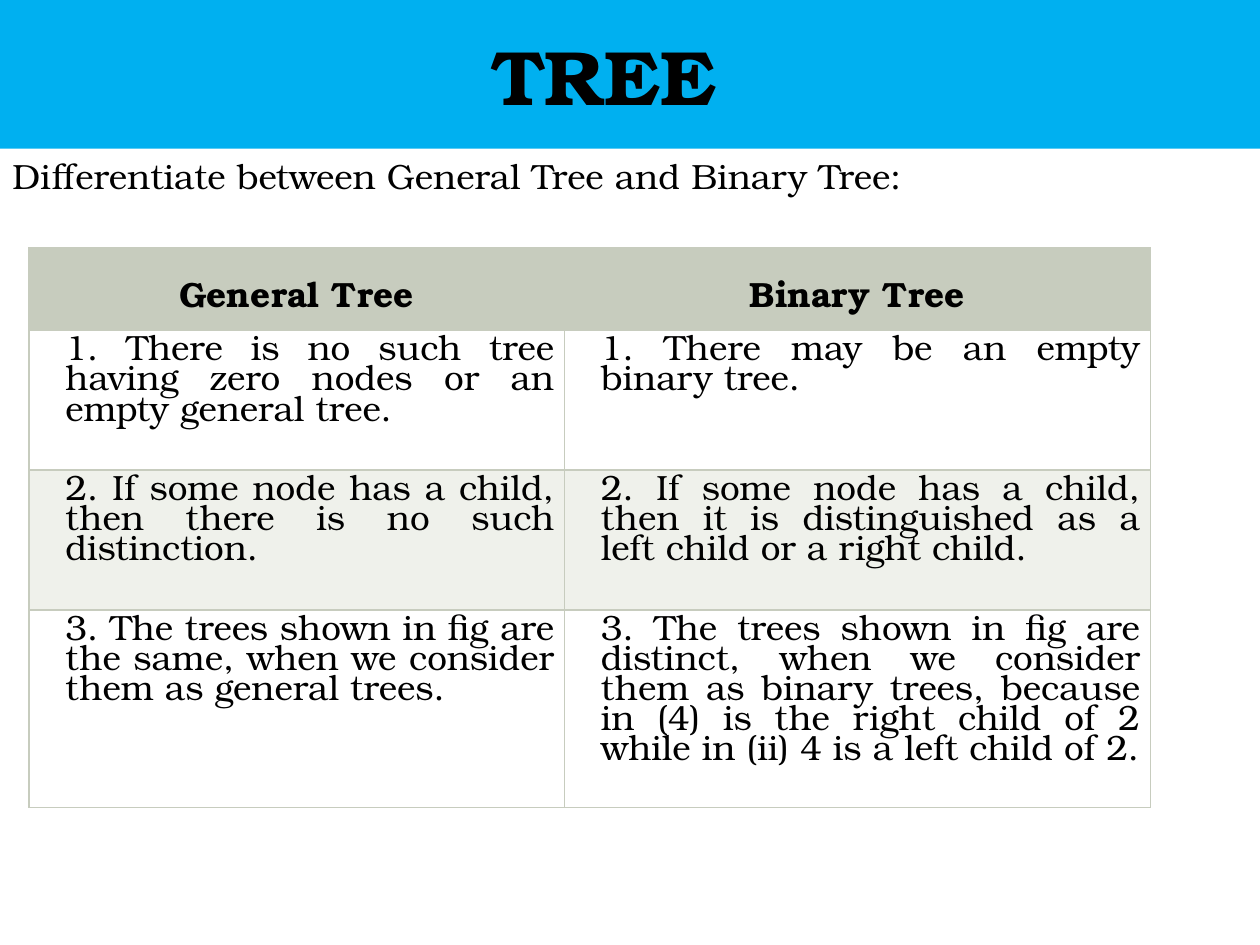
from lxml import etree
from pptx import Presentation
from pptx.dml.color import RGBColor
from pptx.enum.text import MSO_ANCHOR, MSO_AUTO_SIZE, PP_ALIGN
from pptx.oxml.ns import qn
from pptx.util import Inches, Pt

MIDDLE, TOP = MSO_ANCHOR.MIDDLE, MSO_ANCHOR.TOP
LEFT, CENTER, JUSTIFY = PP_ALIGN.LEFT, PP_ALIGN.CENTER, PP_ALIGN.JUSTIFY
FIXED, GROW = MSO_AUTO_SIZE.NONE, MSO_AUTO_SIZE.SHAPE_TO_FIT_TEXT
BLACK = RGBColor(0x00, 0x00, 0x00)
WHITE = RGBColor(0xFF, 0xFF, 0xFF)
SKY = RGBColor(0x00, 0xB0, 0xF0)
SAGE = RGBColor(0xC7, 0xCC, 0xBE)
PALE = RGBColor(0xEF, 0xF1, 0xEB)
FONT = "TeX Gyre Bonum"
WIDTH, HEIGHT = Inches(10), Inches(7.5)
BANNER_HEIGHT = Inches(1.18)
COLUMNS = [4.25, 4.65]
ROWS = [0.65, 1.11, 1.11, 1.57]
HEADER = {"alignment": CENTER, "line_spacing": 1.07, "space_after": Pt(8)}
BODY = {"alignment": JUSTIFY, "line_spacing": Pt(17.2), "space_after": Pt(8)}
COMPARISON = [
    ("General Tree", "Binary Tree"),
    ("1. There is no such tree having zero nodes or an empty general tree.",
     "1. There may be an empty binary tree."),
    ("2. If some node has a child, then there is no such distinction.",
     "2. If some node has a child, then it is distinguished as a left child "
     "or a right child."),
    ("3. The trees shown in fig are the same, when we consider them as "
     "general trees.",
     "3. The trees shown in fig are distinct, when we consider them as binary "
     "trees, because in (4) is the right child of 2 while in (ii) 4 is a left "
     "child of 2."),
]


def apply(target, values):
    """Set every attribute named in values on target."""
    for name, value in values.items():
        setattr(target, name, value)


def write(frame, text, layout, size=20, bold=False):
    """Write one formatted paragraph and return it."""
    para = frame.paragraphs[0]
    apply(para, layout)
    span = para.add_run()
    span.text = text
    apply(span.font, {"name": FONT, "size": Pt(size), "bold": bold})
    span.font.color.rgb = BLACK
    return para


def add_banner(page, text):
    """Turn the title placeholder into the coloured banner."""
    title = page.shapes.title
    apply(title, {"left": 0, "top": 0, "width": WIDTH, "height": BANNER_HEIGHT})
    title.fill.solid()
    title.fill.fore_color.rgb = SKY
    apply(title.text_frame, {"vertical_anchor": MIDDLE, "auto_size": FIXED,
                             "margin_right": Inches(0.52)})
    write(title.text_frame, text, {"alignment": CENTER}, 44, True)


def add_prompt(page, text):
    """Place the question directly below the banner."""
    box = page.shapes.add_textbox(0, Inches(1.17), WIDTH, Inches(0.44))
    apply(box.text_frame, {"word_wrap": True, "auto_size": GROW,
                           "vertical_anchor": MIDDLE})
    write(box.text_frame, text, {"alignment": LEFT})


def add_borders(cell):
    """Draw a one-point line on each side of a cell."""
    properties = cell._tc.get_or_add_tcPr()
    for index, side in enumerate(("lnL", "lnR", "lnT", "lnB")):
        line = etree.Element(qn(f"a:{side}"), w=str(Pt(1)))
        fill = etree.SubElement(line, qn("a:solidFill"))
        etree.SubElement(fill, qn("a:srgbClr"), val=str(SAGE))
        properties.insert(index, line)


def fill_cell(cell, text, row):
    """Format a cell according to its row and write its text."""
    heading = row == 0
    margin = Inches(0.12 if heading else 0.08)
    sides = ("left", "right", "top", "bottom")
    apply(cell, {f"margin_{side}": margin for side in sides})
    cell.vertical_anchor = TOP
    cell.fill.solid()
    cell.fill.fore_color.rgb = SAGE if heading else (PALE, WHITE)[row % 2]
    add_borders(cell)
    para = write(cell.text_frame, text, HEADER if heading else BODY, bold=heading)
    if not heading:
        para._p.get_or_add_pPr().set("marL", str(Inches(0.21)))


def add_comparison(page):
    """Add the table that compares both kinds of tree."""
    table = page.shapes.add_table(
        len(ROWS), len(COLUMNS), Inches(0.23), Inches(1.97),
        Inches(sum(COLUMNS)), Inches(sum(ROWS))).table
    apply(table, {"first_row": False, "horz_banding": False})
    for column, width in zip(table.columns, COLUMNS):
        column.width = Inches(width)
    for row, (height, texts) in enumerate(zip(ROWS, COMPARISON)):
        table.rows[row].height = Inches(height)
        for column, text in enumerate(texts):
            fill_cell(table.cell(row, column), text, row)


def main():
    """Build and save the slide."""
    deck = Presentation()
    apply(deck, {"slide_width": WIDTH, "slide_height": HEIGHT})
    page = deck.slides.add_slide(deck.slide_layouts[5])
    add_banner(page, "TREE")
    add_prompt(page, "Differentiate between General Tree and Binary Tree:")
    add_comparison(page)
    deck.save("out.pptx")


if __name__ == "__main__":
    main()
